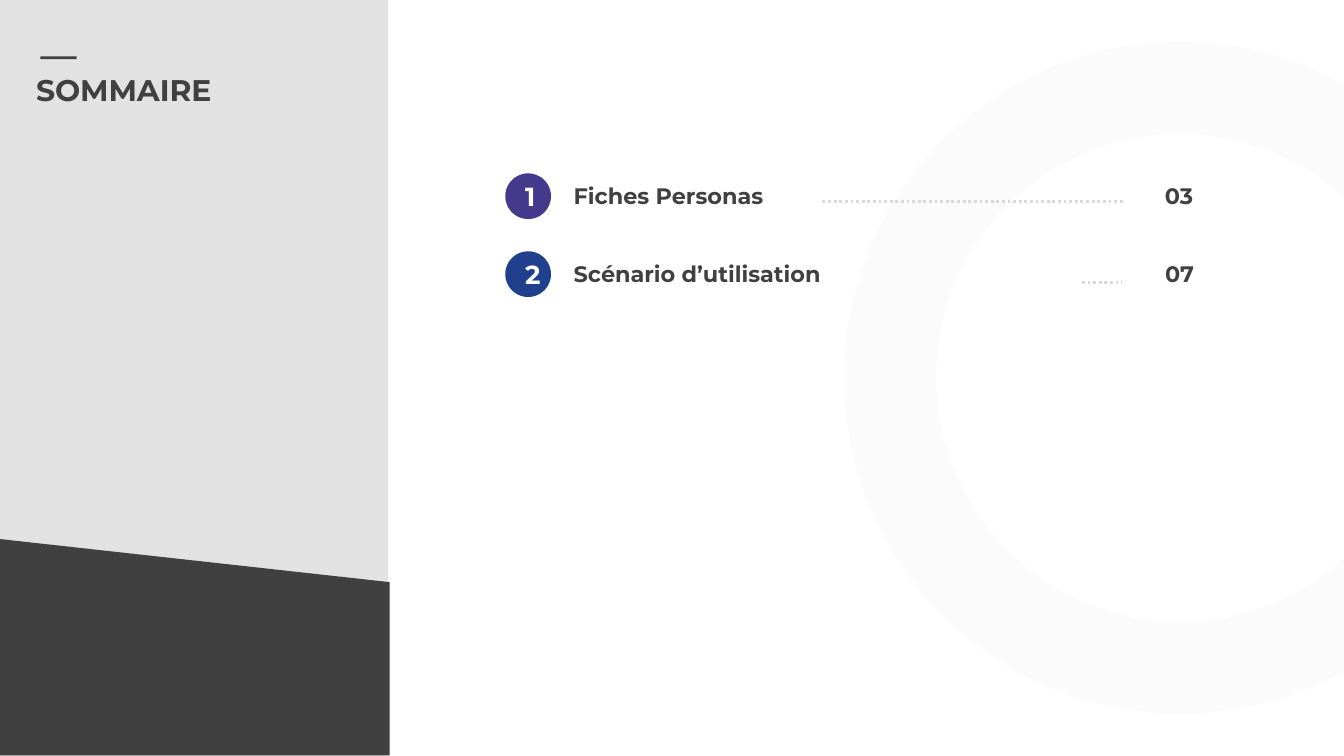
from pptx import Presentation
from pptx.dml.color import RGBColor
from pptx.enum.dml import MSO_LINE
from pptx.enum.shapes import MSO_CONNECTOR, MSO_SHAPE
from pptx.enum.text import MSO_ANCHOR, PP_ALIGN
from pptx.oxml.ns import qn
from pptx.util import Inches, Pt
from lxml import etree

COLORS = {
    "dark": "404040",
    "ring": "808080",
    "dots": "D9D9D9",
    "white": "FFFFFF",
    "purple": "44398B",
    "blue": "20408E",
}

# Widescreen 16:9 slide
presentation = Presentation()
presentation.slide_width = Inches(10)
presentation.slide_height = Inches(10 * 9 / 16)
slide = presentation.slides.add_slide(presentation.slide_layouts[6])


def add_filled(kind, left, top, width, height, color, opacity=100):
    shape = slide.shapes.add_shape(
        kind, Inches(left), Inches(top), Inches(width), Inches(height))
    shape.shadow.inherit = False
    shape.line.fill.background()
    shape.fill.solid()
    shape.fill.fore_color.rgb = RGBColor.from_string(COLORS[color])
    if opacity < 100:
        color_element = shape._element.spPr.find(".//" + qn("a:srgbClr"))
        etree.SubElement(color_element, qn("a:alpha"), val=str(opacity * 1000))
    return shape


def add_text(shape, text, size, color="dark", alignment=PP_ALIGN.LEFT):
    shape.text_frame.word_wrap = True
    paragraph = shape.text_frame.paragraphs[0]
    paragraph.alignment = alignment
    run = paragraph.add_run()
    run.text = text
    run.font.name = "Montserrat"
    run.font.size = Pt(size)
    run.font.bold = True
    run.font.color.rgb = RGBColor.from_string(COLORS[color])


# Side panel, title dash, ring and slanted footer
add_filled(MSO_SHAPE.RECTANGLE, -0.02, 0, 2.91, 5.7, "dark", opacity=15)
add_filled(MSO_SHAPE.RECTANGLE, 0.3, 0.42, 0.27, 0.02, "dark")
ring = add_filled(MSO_SHAPE.DONUT, 6.28, 0.31, 5, 5, "ring", opacity=3)
ring.adjustments[0] = 0.137
footer = add_filled(MSO_SHAPE.FLOWCHART_MANUAL_INPUT, -0.01, 4.01, 2.91, 1.61, "dark")
footer._element.spPr.find(qn("a:xfrm")).set("flipH", "1")

# Title
title = slide.shapes.add_textbox(Inches(0.17), Inches(0.43), Inches(2.73), Inches(0.79))
frame = title.text_frame
frame.margin_left = frame.margin_right = Inches(0.1)
frame.margin_top = frame.margin_bottom = Inches(0.1)
add_text(title, "SOMMAIRE", 16)

# Contents: label, label width, page, page width, badge color, dots from and to
entries = [
    ("Fiches Personas", 2.57, "03", 0.5, "purple", 6.12, 8.37),
    ("Scénario d’utilisation", 3.95, "07", 0.61, "blue", 8.05, 8.35),
]
for index, entry in enumerate(entries):
    label, label_width, page, page_width, color, dots_start, dots_end = entry
    top = 1.29 + index * 0.58

    badge = add_filled(MSO_SHAPE.OVAL, 3.76, top, 0.34, 0.34, color)
    badge.text_frame.vertical_anchor = MSO_ANCHOR.MIDDLE
    add_text(badge, str(index + 1), 14, "white", PP_ALIGN.CENTER)

    for text, left, width in ((label, 4.17, label_width), (page, 8.57, page_width)):
        box = slide.shapes.add_textbox(
            Inches(left), Inches(top + 0.02), Inches(width), Inches(0.3))
        add_text(box, text, 12)

    dots_top = Inches(1.5 + index * 0.6)
    dots = slide.shapes.add_connector(
        MSO_CONNECTOR.STRAIGHT, Inches(dots_start), dots_top, Inches(dots_end), dots_top)
    dots.line.color.rgb = RGBColor.from_string(COLORS["dots"])
    dots.line.width = Pt(1.5)
    dots.line.dash_style = MSO_LINE.ROUND_DOT
    etree.SubElement(dots._element.spPr, qn("a:effectLst"))

presentation.save("out.pptx")
